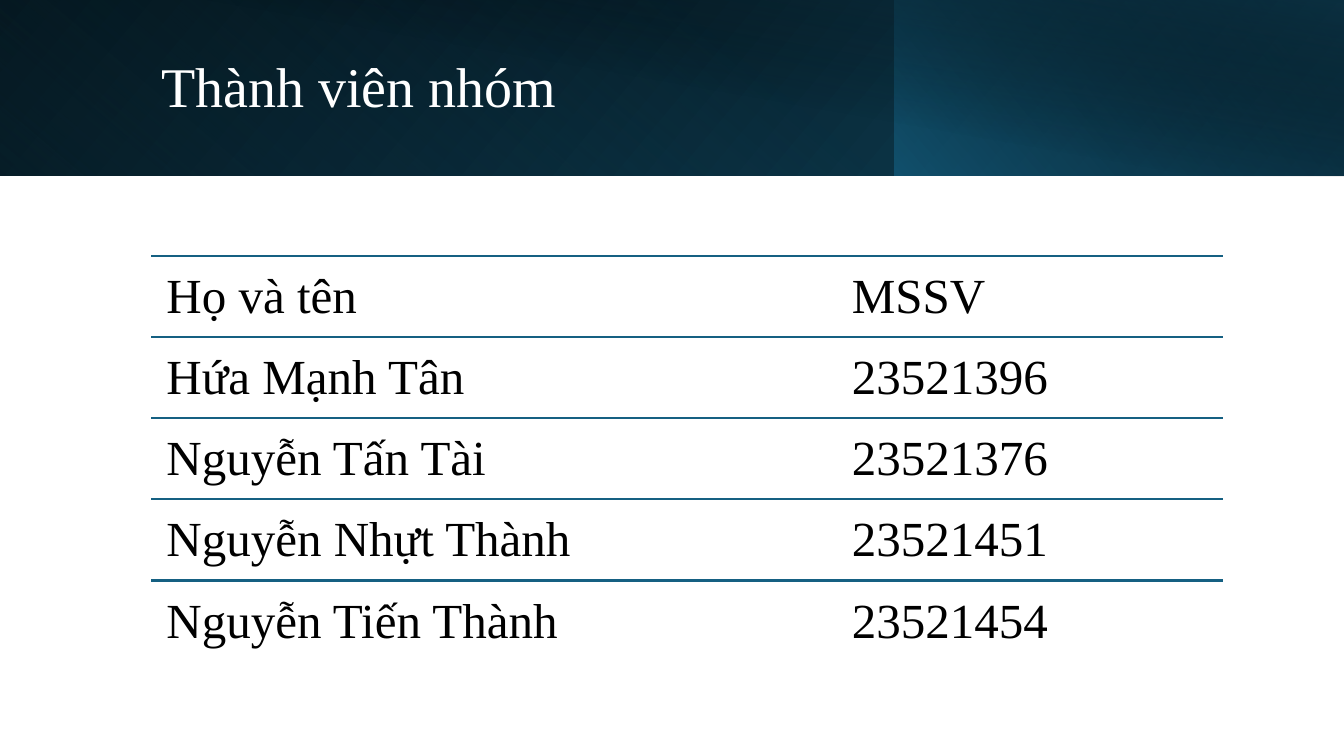
from pptx import Presentation
from pptx.dml.color import RGBColor
from pptx.enum.shapes import MSO_CONNECTOR, MSO_SHAPE
from pptx.enum.text import MSO_ANCHOR
from pptx.oxml import parse_xml
from pptx.oxml.ns import nsdecls, qn
from pptx.util import Inches, Pt
from lxml.etree import SubElement

prs = Presentation()
prs.slide_width, prs.slide_height = Inches(13.33), Inches(7.5)
s = prs.slides.add_slide(prs.slide_layouts[6])

# Lengths are percentages of the slide's width (X) and height (Y)
X, Y = prs.slide_width / 100, prs.slide_height / 100
LEFT, WIDTH = 11.25, 79.75
TOP, ROW = 33.87, 10.73
INSET = int(1.13 * X)


def color(hex_text):
    return RGBColor.from_string(hex_text)


def add_text(text, x, y, w, h, size=35, fill="000000", anchor=MSO_ANCHOR.TOP,
             inset=None, tab=None):
    sp = s.shapes.add_textbox(int(x * X), int(y * Y), int(w * X), int(h * Y))
    tf = sp.text_frame
    tf.word_wrap = True
    tf.vertical_anchor = anchor
    if inset is not None:
        tf.margin_left = tf.margin_right = inset
        tf.margin_top = tf.margin_bottom = inset
    p = tf.paragraphs[0]
    p.line_spacing = 0.9
    if tab is not None:
        tabs = SubElement(p._p.get_or_add_pPr(), qn("a:tabLst"))
        SubElement(tabs, qn("a:tab"), pos=str(int(tab * X)), algn="l")
    r = p.add_run()
    r.text = text
    r.font.name = "Times New Roman"
    r.font.size = Pt(size)
    r.font.color.rgb = color(fill)


# Banner: left, width, height, flipped, rotation, angle, stops (position, colour, opacity)
banner = [
    (0, 100, 23.25, 1, 0, 140, [(0, "000000", 100), (100, "104862", 100)]),
    (0, 66.6, 23.25, 1, 180, 230, [(20, "156082", 0), (100, "0B3041", 55)]),
    (66.55, 33.45, 23.25, 1, 0, 220, [(0, "156082", 66), (100, "000000", 30)]),
    (3.75, 96.25, 23.33, 0, 0, 280, [(50, "000000", 0), (99, "0B3041", 52)]),
]
for x, w, h, flip, rotation, angle, stops in banner:
    sp = s.shapes.add_shape(MSO_SHAPE.RECTANGLE, int(x * X), 0, int(w * X), int(h * Y))
    sp.shadow.inherit = False
    sp.rotation = rotation
    sp.fill.background()
    spPr = sp._element.spPr
    if flip:
        spPr.find(qn("a:xfrm")).set("flipH", "1")
    stop_xml = "".join(
        f'<a:gs pos="{pos * 1000}"><a:srgbClr val="{color(c)}">'
        f'<a:alpha val="{alpha * 1000}"/></a:srgbClr></a:gs>'
        for pos, c, alpha in stops)
    spPr.replace(spPr.find(qn("a:noFill")), parse_xml(
        f'<a:gradFill {nsdecls("a")} rotWithShape="1"><a:gsLst>{stop_xml}</a:gsLst>'
        f'<a:lin ang="{angle * 60000}" scaled="0"/></a:gradFill>'))
    sp.line.fill.background()

# Title
add_text("Thành viên nhóm", LEFT, 4.27, 81.17, 15.07, size=40, fill="FFFFFF",
         anchor=MSO_ANCHOR.MIDDLE)

# Member list: a rule above each row, student number at a tab stop
members = [
    ("Họ và tên", "MSSV"),
    ("Hứa Mạnh Tân", "23521396"),
    ("Nguyễn Tấn Tài", "23521376"),
    ("Nguyễn Nhựt Thành", "23521451"),
    ("Nguyễn Tiến Thành", "23521454"),
]
for i, member in enumerate(members):
    y = TOP + i * ROW
    rule = s.shapes.add_connector(MSO_CONNECTOR.STRAIGHT, int(LEFT * X), int(y * Y),
                                  int((LEFT + WIDTH) * X), int(y * Y))
    rule.line.color.rgb = color("156082")
    rule.line.width = Pt(1.5)
    SubElement(rule._element.spPr, qn("a:effectLst"))
    add_text("\t".join(member), LEFT, y, WIDTH, ROW, inset=INSET, tab=51)

prs.save("out.pptx")
